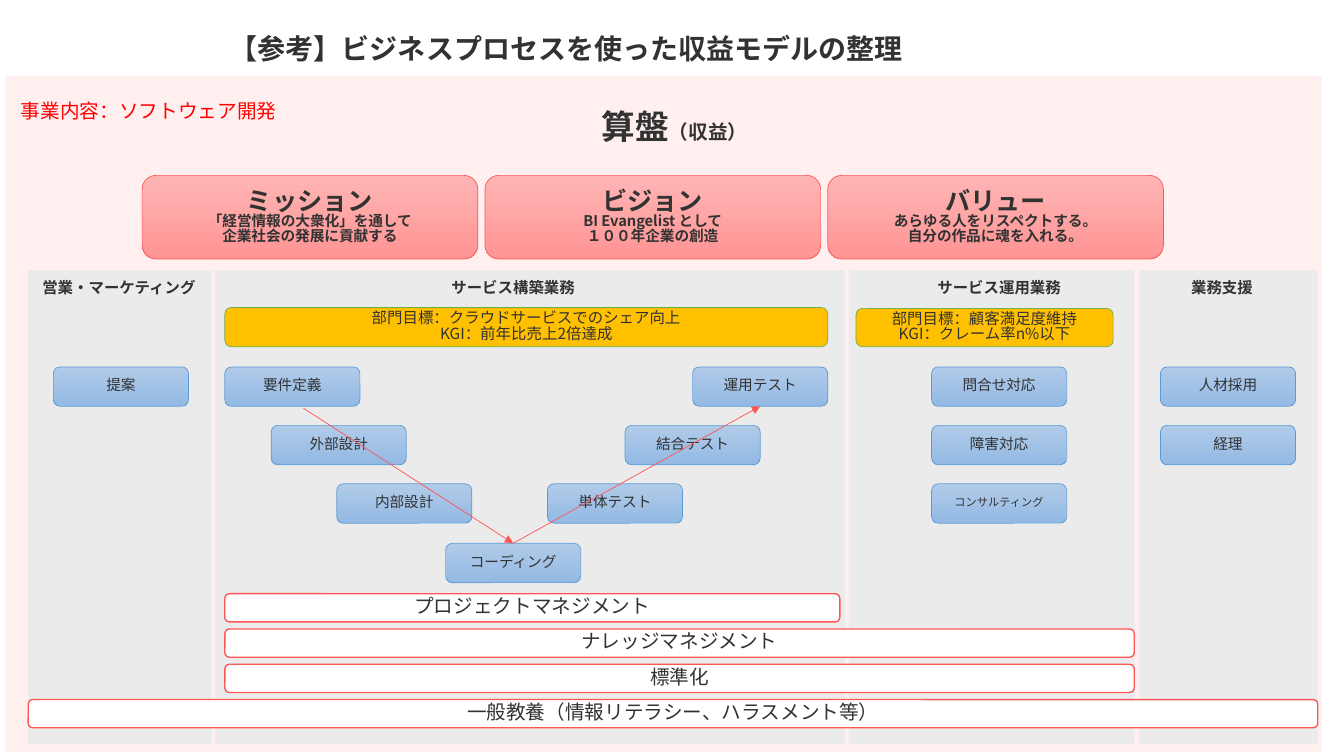
from dataclasses import dataclass
from typing import NamedTuple

from pptx import Presentation
from pptx.dml.color import RGBColor
from pptx.enum.dml import MSO_LINE
from pptx.enum.shapes import MSO_CONNECTOR as Link, MSO_SHAPE as Kind
from pptx.enum.text import MSO_ANCHOR as Anchor, PP_ALIGN as Align
from pptx.oxml.ns import qn
from pptx.shapes.autoshape import Shape
from pptx.shapes.connector import Connector
from pptx.text.text import TextFrame
from pptx.util import Emu, Pt
from lxml.etree import SubElement

PX = 9144  # 100 px to the inch


@dataclass(frozen=True)
class Theme:
    font: str = "Noto Sans CJK JP"
    ink: str = "323232"
    alert: str = "FF0000"
    back: str = "FFEFEF"
    lane: str = "EBEBEB"
    white: str = "FFFFFF"
    red: str = "FF5555"
    pink: tuple[str, str] = ("FFB4B4", "FF9595")
    sky: tuple[str, str] = ("B1CBE9", "93B9E4")
    blue: str = "5B9BD5"
    gold: str = "FFC000"
    green: str = "70AD47"
    title: float = 20
    hero: float = 24
    head: float = 18
    bar: float = 14
    label: float = 11
    body: float = 10.5
    small: float = 8
    thin: float = 0.5
    thick: float = 1
    leading: float = 0.83


T = Theme()


class Rect(NamedTuple):
    x: int
    y: int
    w: int
    h: int

    def emu(self) -> list[Emu]:
        return [Emu(n * PX) for n in self]


class Run(NamedTuple):
    text: str
    size: float
    bold: bool = False
    color: str = T.ink


class Style(NamedTuple):
    kind: Kind
    fill: str | tuple[str, str]
    line: str | None = None
    width: float = T.thin
    inset: int = 0


class Lane(NamedTuple):
    x: int
    w: int
    name: str
    mid: int


class Step(NamedTuple):
    x: int
    row: int
    name: str
    size: float = T.body


Lines = list[list[Run]]

PANEL = Style(Kind.RECTANGLE, T.back)
LANE = Style(Kind.RECTANGLE, T.lane)
CARD = Style(Kind.ROUNDED_RECTANGLE, T.pink, T.red)
STEP = Style(Kind.ROUNDED_RECTANGLE, T.sky, T.blue, inset=20)
GOAL = Style(Kind.ROUNDED_RECTANGLE, T.gold, T.green)
BAR = Style(Kind.ROUNDED_RECTANGLE, T.white, T.red, T.thick)

LANES = [
    Lane(28, 182, "営業・マーケティング", 118),
    Lane(213, 625, "サービス構築業務", 509),
    Lane(842, 283, "サービス運用業務", 991),
    Lane(1130, 177, "業務支援", 1212),
]
CARDS = [
    ("ミッション", "「経営情報の大衆化」を通して", "企業社会の発展に貢献する"),
    ("ビジョン", "BI Evangelist として", "１００年企業の創造"),
    ("バリュー", "あらゆる人をリスペクトする。", "自分の作品に魂を入れる。"),
]
GOALS = [
    (Rect(223, 305, 598, 39),
     ("部門目標：クラウドサービスでのシェア向上", "KGI：前年比売上2倍達成")),
    (Rect(849, 306, 255, 38),
     ("部門目標：顧客満足度維持", "KGI：クレーム率n%以下")),
]
STEPS = [
    Step(53, 0, "提案"),
    Step(223, 0, "要件定義"),
    Step(269, 1, "外部設計"),
    Step(334, 2, "内部設計"),
    Step(442, 3, "コーディング"),
    Step(543, 2, "単体テスト"),
    Step(620, 1, "結合テスト"),
    Step(687, 0, "運用テスト"),
    Step(924, 0, "問合せ対応"),
    Step(924, 1, "障害対応"),
    Step(924, 2, "コンサルティング", T.small),
    Step(1151, 0, "人材採用"),
    Step(1151, 1, "経理"),
]
BARS = [
    (223, 610, "プロジェクトマネジメント"),
    (223, 902, "ナレッジマネジメント"),
    (223, 902, "標準化"),
    (28, 1279, "一般教養（情報リテラシー、ハラスメント等）"),
]

deck = Presentation()
deck.slide_width, deck.slide_height = Emu(1333 * PX), Emu(750 * PX)
shapes = deck.slides.add_slide(deck.slide_layouts[6]).shapes


def rgb(code: str) -> RGBColor:
    return RGBColor.from_string(code)


def write(frame: TextFrame, lines: Lines, align: Align) -> None:
    for i, line in enumerate(lines):
        para = frame.add_paragraph() if i else frame.paragraphs[0]
        para.alignment, para.line_spacing = align, T.leading
        for part in line:
            run = para.add_run()
            run.text = part.text
            look = {"size": Pt(part.size), "bold": part.bold, "name": T.font}
            for key, value in look.items():
                setattr(run.font, key, value)
            run.font.color.rgb = rgb(part.color)
            SubElement(run.font._element, qn("a:ea"), typeface=T.font)


def block(rect: Rect, style: Style, lines: Lines | None = None) -> Shape:
    shape = shapes.add_shape(style.kind, *rect.emu())
    shape.shadow.inherit = False
    if isinstance(style.fill, tuple):
        shape.fill.gradient()
        shape.fill.gradient_angle = 270
        for stop, code in zip(shape.fill.gradient_stops, style.fill):
            stop.color.rgb = rgb(code)
    else:
        shape.fill.solid()
        shape.fill.fore_color.rgb = rgb(style.fill)
    if style.line:
        shape.line.color.rgb = rgb(style.line)
        shape.line.width = Pt(style.width)
    else:
        shape.line.fill.background()
    side = Emu(style.inset * PX)
    layout = {"margin_left": side, "margin_right": side, "margin_top": 0,
              "margin_bottom": 0, "vertical_anchor": Anchor.MIDDLE}
    for key, value in layout.items():
        setattr(shape.text_frame, key, value)
    write(shape.text_frame, lines or [], Align.CENTER)
    return shape


def label(rect: Rect, runs: list[Run], align: Align = Align.CENTER,
          wrap: bool = True) -> None:
    frame = shapes.add_textbox(*rect.emu()).text_frame
    frame.word_wrap = wrap
    write(frame, [runs], align)


def arrow(start: tuple[int, int], end: tuple[int, int]) -> Connector:
    ends = [Emu(n * PX) for n in start + end]
    link = shapes.add_connector(Link.STRAIGHT, *ends)
    link.line.color.rgb = rgb(T.red)
    link.line.width = Pt(T.thin)
    link.line.dash_style = MSO_LINE.SOLID
    SubElement(link.line._get_or_add_ln(), qn("a:tailEnd"), type="triangle")
    SubElement(link._element.spPr, qn("a:effectLst"))
    return link


block(Rect(5, 75, 1306, 671), PANEL)
label(Rect(218, 32, 897, 44),
      [Run("【参考】ビジネスプロセスを使った収益モデルの整理", T.title, True)], Align.JUSTIFY)
label(Rect(586, 107, 166, 50),
      [Run("算盤", T.hero, True), Run("（収益）", T.bar, True)], wrap=False)
label(Rect(11, 97, 385, 34),
      [Run("事業内容：ソフトウェア開発", T.bar, color=T.alert)], Align.LEFT)

for lane in LANES:
    block(Rect(lane.x, 268, lane.w, 470), LANE)
    label(Rect(lane.mid - 99, 274, 198, 29), [Run(lane.name, T.label, True)])

for i, (head, *body) in enumerate(CARDS):
    text = [[Run(head, T.head, True)], *([Run(s, T.body, True)] for s in body)]
    block(Rect(141 + 340 * i, 174, 333, 83), CARD, text)

for rect, goal in GOALS:
    block(rect, GOAL, [[Run(s, T.label)] for s in goal])

boxes = {s.name: block(Rect(s.x, 364 + 175 * s.row // 3, 134, 39), STEP,
                       [[Run(s.name, s.size)]]) for s in STEPS}

down = arrow((301, 405), (509, 539))
down.end_connect(boxes["コーディング"], 0)
up = arrow((509, 539), (754, 403))
up.begin_connect(boxes["コーディング"], 0)
up.end_connect(boxes["運用テスト"], 2)

for i, (x, w, name) in enumerate(BARS):
    block(Rect(x, 589 + 35 * i, w, 28), BAR, [[Run(name, T.bar)]])

deck.save("out.pptx")
